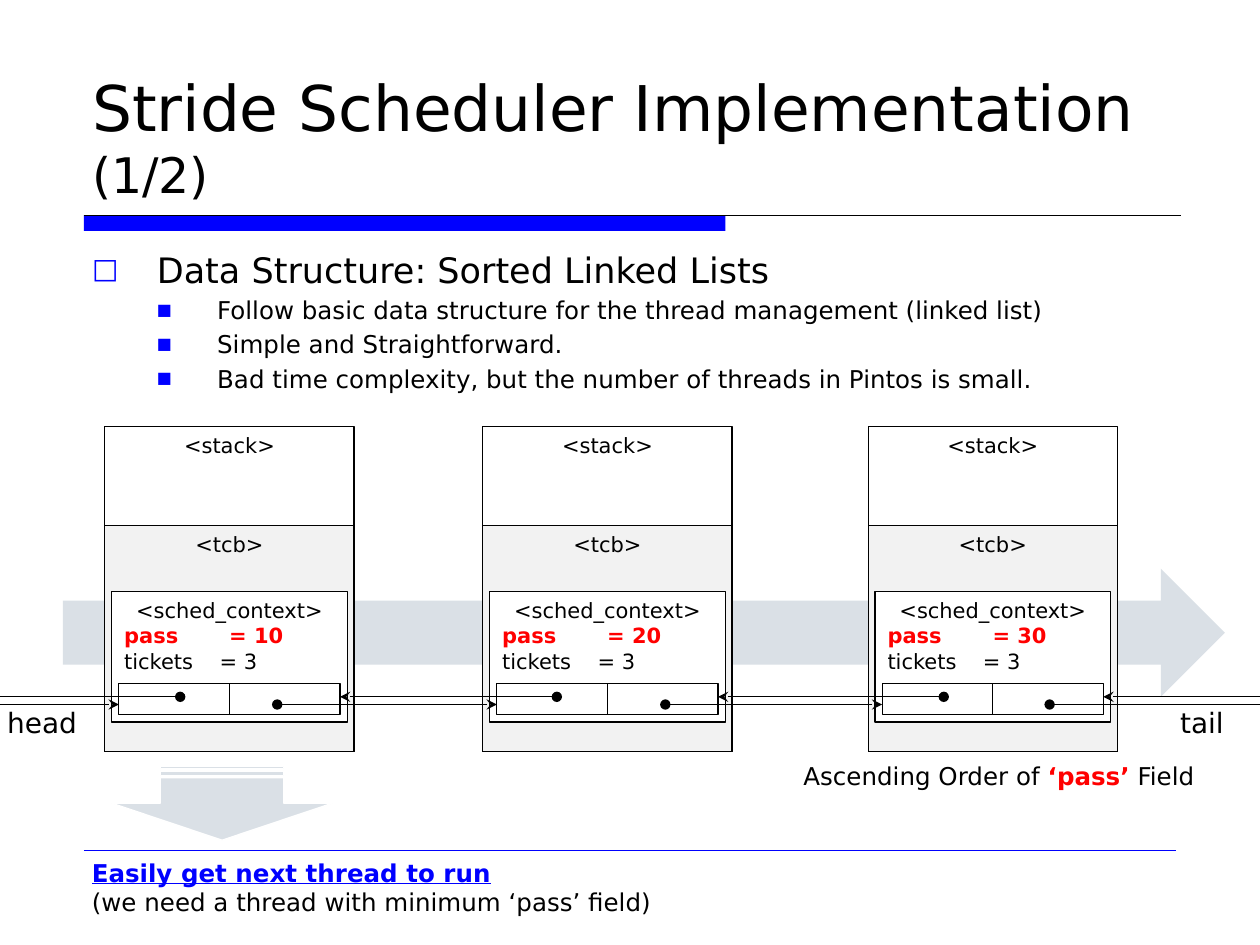
from pptx import Presentation
from pptx.dml.color import RGBColor
from pptx.enum.shapes import MSO_CONNECTOR, MSO_SHAPE
from pptx.enum.text import MSO_ANCHOR, MSO_AUTO_SIZE, PP_ALIGN
from pptx.oxml.ns import qn
from pptx.util import Pt
from lxml import etree

RECT = MSO_SHAPE.RECTANGLE
ARROW = MSO_SHAPE.RIGHT_ARROW
STRIPED = MSO_SHAPE.STRIPED_RIGHT_ARROW
LINE = MSO_CONNECTOR.STRAIGHT
TOP, BOTTOM = MSO_ANCHOR.TOP, MSO_ANCHOR.BOTTOM
LEFT, CENTER = PP_ALIGN.LEFT, PP_ALIGN.CENTER
NONE = MSO_AUTO_SIZE.NONE

FONT = "DejaVu Sans"
HEX = {"black": "000000", "white": "FFFFFF", "blue": "0000FF",
       "red": "FF0000", "gray": "F2F2F2", "pale": "DAE0E6"}
TITLE = [("Stride Scheduler Implementation ", 36), ("(1/2)", 28)]
BODY = [
    (0, "Data Structure: Sorted Linked Lists"),
    (1, "Follow basic data structure for the thread management (linked list)"),
    (1, "Simple and Straightforward."),
    (1, "Bad time complexity, but the number of threads in Pintos is small."),
]
LEVELS = [(20, 37, -37, "□", 80), (14, 71.5, -34.5, "■", 65)]
THREADS = [(59.9, 10), (275.9, 20), (496.1, 30)]
WIDE, CELL, INSET = 142.5, 63.2, 8
PREV_Y, NEXT_Y = 398.2, 402.6
PREV_ENDS = [318.2, 539.3, 759.6]
NEXT_ENDS = [-56.2, 158.4, 380.2]
ENDS = [(-25.2, 103, PREV_Y), (743.8, 599.8, NEXT_Y)]
LABELS = [
    (-3, 399.6, 54, 26.6, 16, [[("head", "black", False)]]),
    (667.3, 399.6, 40, 26.6, 16, [[("tail", "black", False)]]),
    (452, 431.3, 372, 24.5, 14, [[("Ascending Order of ", "black", False),
                                  ("‘pass’", "red", True),
                                  (" Field", "black", False)]]),
    (45.4, 486.7, 338, 41, 14, [
        [("Easily get next thread to run", "blue", True)],
        [("(we need a thread with minimum ‘pass’ field)", "black", False)]]),
]


def tint(name):
    return RGBColor.from_string(HEX[name])


def style(font, size, color="black", bold=False):
    font.name, font.size, font.bold = FONT, Pt(size), bold
    font.color.rgb = tint(color)


def place(shape, *box):
    shape.left, shape.top, shape.width, shape.height = map(Pt, box)


def add(tree, kind, box, fill=None, edge=None):
    shape = tree.add_shape(kind, *map(Pt, box))
    shape.shadow.inherit = False
    if fill:
        shape.fill.solid()
        shape.fill.fore_color.rgb = tint(fill)
    else:
        shape.fill.background()
    if edge:
        shape.line.color.rgb = tint(edge)
        shape.line.width = Pt(0.75)
    else:
        shape.line.fill.background()
    return shape


def write(shape, rows):
    frame = shape.text_frame
    frame.vertical_anchor = TOP
    for i, (text, color, bold, tab) in enumerate(rows):
        para = frame.add_paragraph() if i else frame.paragraphs[0]
        para.text = text
        para.alignment = LEFT if tab else CENTER
        if tab:
            tabs = etree.SubElement(para._p.get_or_add_pPr(), qn("a:tabLst"))
            etree.SubElement(tabs, qn("a:tab"), pos=str(Pt(tab)), algn="l")
        style(para.font, 12, color, bold)


def rule(tree, start, end, y, color="black", width=0.75, link=False):
    line = tree.add_connector(LINE, Pt(start), Pt(y), Pt(end), Pt(y))
    line.line.color.rgb = tint(color)
    line.line.width = Pt(width)
    if link:
        edge = line.line._get_or_add_ln()
        etree.SubElement(edge, qn("a:headEnd"), type="stealth")
        etree.SubElement(edge, qn("a:tailEnd"), type="oval")
    etree.SubElement(line._element.spPr, qn("a:effectLst"))


def thread(tree, x, value):
    group = tree.add_group_shape().shapes
    tcb = add(group, RECT, (x, 300.4, WIDE, 129), "gray", "black")
    write(tcb, [("<tcb>", "black", False, None)])
    stack = add(group, RECT, (x, 243.6, WIDE, 185.8), None, "black")
    write(stack, [("<stack>", "black", False, None)])
    sched = add(group, RECT, (x + 4, 338, 134.6, 74.6), "white", "black")
    write(sched, [("<sched_context>", "black", False, None),
                  (f"pass\t= {value}", "red", True, 60),
                  ("tickets\t= 3", "black", False, 54.5)])
    for i in range(2):
        left = x + INSET + i * CELL
        add(group, RECT, (left, 390.4, CELL, 18), None, "black")


def fill_title(title):
    place(title, 45.4, 23.8, 630, 95.8)
    frame = title.text_frame
    frame.auto_size, frame.vertical_anchor = NONE, BOTTOM
    para = frame.paragraphs[0]
    para.alignment = LEFT
    for text, size in TITLE:
        run = para.add_run()
        run.text = text
        style(run.font, size)


def fill_body(body):
    place(body, 45.4, 138.2, 630, 87)
    frame = body.text_frame
    frame.auto_size = NONE
    for i, (level, text) in enumerate(BODY):
        size, margin, indent, mark, scale = LEVELS[level]
        para = frame.add_paragraph() if i else frame.paragraphs[0]
        para.text, para.level = text, level
        if not i:
            para.space_before = Pt(0)
        props = para._p.get_or_add_pPr()
        props.set("marL", str(Pt(margin)))
        props.set("indent", str(Pt(indent)))
        color = etree.SubElement(props, qn("a:buClr"))
        etree.SubElement(color, qn("a:srgbClr"), val=HEX["blue"])
        etree.SubElement(props, qn("a:buSzPct"), val=str(scale * 1000))
        etree.SubElement(props, qn("a:buFont"), typeface=FONT)
        etree.SubElement(props, qn("a:buChar"), char=mark)
        style(para.font, size)


def label(tree, x, y, width, height, size, rows):
    box = tree.add_textbox(*map(Pt, (x, y, width, height)))
    box.text_frame.word_wrap = width > 360
    for i, row in enumerate(rows):
        frame = box.text_frame
        para = frame.add_paragraph() if i else frame.paragraphs[0]
        for text, color, bold in row:
            run = para.add_run()
            run.text = text
            style(run.font, size, color, bold)
            run.font.underline = color == "blue"


def main():
    """Build the stride scheduler slide."""
    deck = Presentation()
    deck.slide_width, deck.slide_height = Pt(720), Pt(540)
    slide = deck.slides.add_slide(deck.slide_layouts[1])
    tree = slide.shapes
    fill_title(tree.title)
    fill_body(slide.placeholders[1])
    add(tree, RECT, (48, 123, 366.5, 9), "blue")
    rule(tree, 48, 674.8, 123)
    rule(tree, 48, 672, 486, "blue", 0.25)
    add(tree, ARROW, (36, 325, 664, 73.2), "pale")
    for x, value in THREADS:
        thread(tree, x, value)
    for (x, _), prev, after in zip(THREADS, PREV_ENDS, NEXT_ENDS):
        rule(tree, x + INSET + 2 * CELL, prev, PREV_Y, link=True)
        rule(tree, x + INSET, after, NEXT_Y, link=True)
    for start, end, y in ENDS:
        rule(tree, start, end, y, link=True)
    down = add(tree, STRIPED, (105.8, 396, 42.2, 126), "pale", "white")
    down.rotation = 90
    down.adjustments[0], down.adjustments[1] = 0.56, 0.5
    for item in LABELS:
        label(tree, *item)
    deck.save("out.pptx")


if __name__ == "__main__":
    main()
